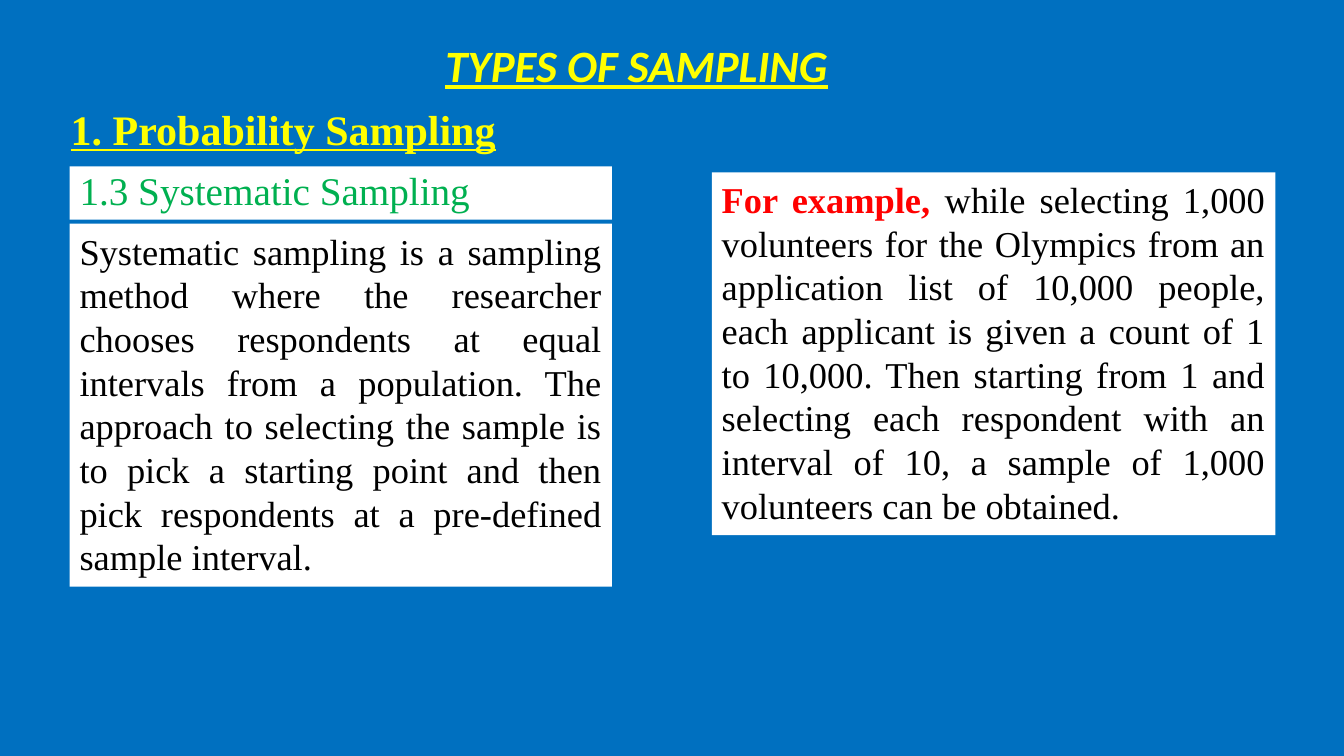
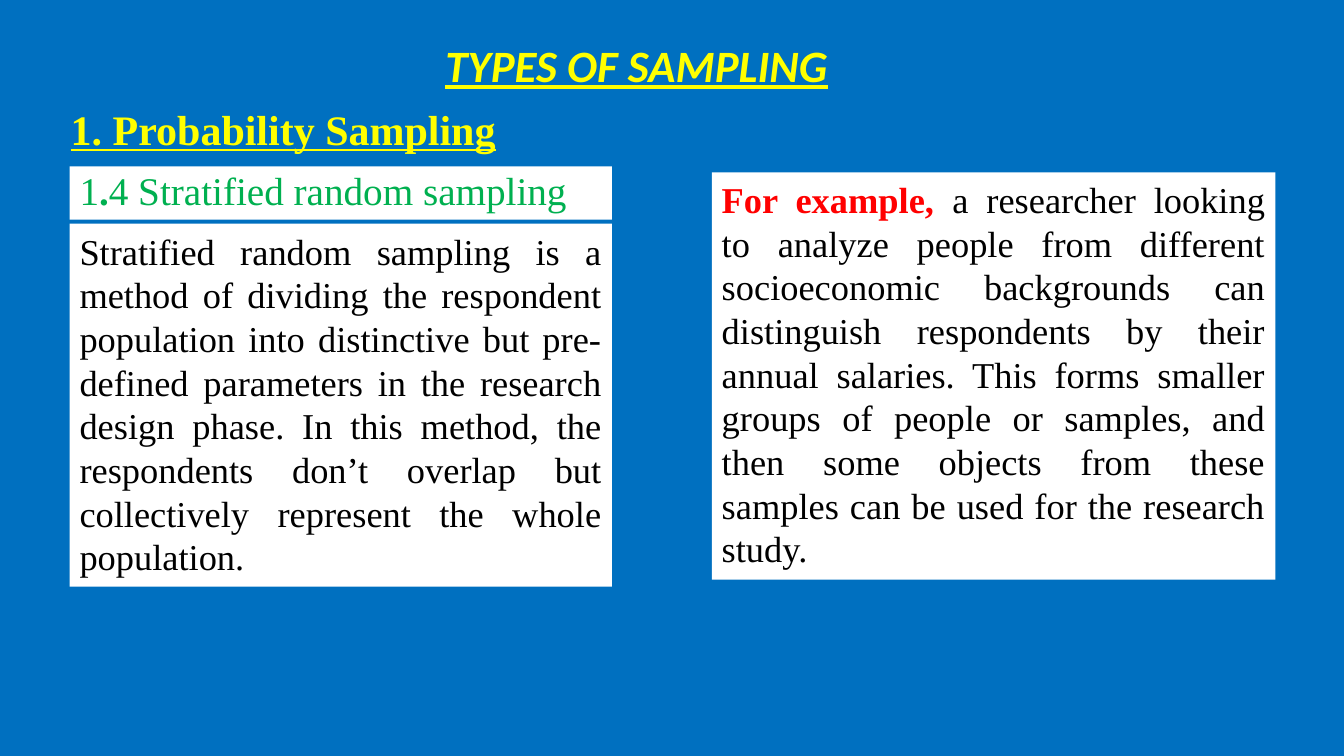
"""Build two slides on types of probability sampling."""
from pptx import Presentation
from pptx.dml.color import RGBColor
from pptx.enum.shapes import MSO_SHAPE
from pptx.enum.text import MSO_ANCHOR as ANCHOR, MSO_AUTO_SIZE as AUTO, PP_ALIGN as ALIGN
from pptx.util import Inches, Pt

BLUE, WHITE, YELLOW = "0070C0", "FFFFFF", "FFFF00"
GREEN, RED, BLACK = "00B050", "FF0000", "000000"
SERIF = "Times New Roman"

TITLE = "TYPES OF SAMPLING"
SECTION = "1. Probability Sampling"
EXAMPLE_LEAD = "For example, "
METHODS = [
    {
        "heading": [("1.3 Systematic Sampling", {})],
        "definition": "Systematic sampling is a sampling method where the researcher chooses "
                      "respondents at equal intervals from a population. The approach to selecting "
                      "the sample is to pick a starting point and then pick respondents at a "
                      "pre-defined sample interval.",
        "example": "while selecting 1,000 volunteers for the Olympics from an application list of "
                   "10,000 people, each applicant is given a count of 1 to 10,000. Then starting "
                   "from 1 and selecting each respondent with an interval of 10, a sample of 1,000 "
                   "volunteers can be obtained.",
        "example_height": 3.6,
    },
    {
        "heading": [("1", {}), (".", {"bold": True}), ("4 Stratified random sampling", {})],
        "definition": "Stratified random sampling is a method of dividing the respondent population "
                      "into distinctive but pre-defined parameters in the research design phase. In "
                      "this method, the respondents don’t overlap but collectively represent the "
                      "whole population.",
        "example": "a researcher looking to analyze people from different socioeconomic backgrounds "
                   "can distinguish respondents by their annual salaries. This forms smaller groups "
                   "of people or samples, and then some objects from these samples can be used for "
                   "the research study.",
        "example_height": 4.04,
    },
]

TITLE_FONT = {"name": "Calibri", "size": Pt(32), "bold": True, "italic": True,
              "underline": True, "color": YELLOW}
SECTION_FONT = {"name": SERIF, "size": Pt(30), "bold": True, "underline": True, "color": YELLOW}
HEADING_FONT = {"name": SERIF, "size": Pt(28), "color": GREEN}
BODY_FONT = {"name": SERIF, "size": Pt(26), "color": BLACK}
LEAD_FONT = {"bold": True, "color": RED}

LINE = {"alignment": ALIGN.CENTER, "line_spacing": 0.9}
HEADING_LINE = {"alignment": ALIGN.LEFT, "line_spacing": 0.9}
BODY_LINE = {"alignment": ALIGN.JUSTIFY}

LEFT_X, LEFT_WIDTH = 0.69, 5.38


def rgb(value):
    """Turn a hex string into a colour."""
    return RGBColor.from_string(value)


def apply(target, values):
    """Set each value on the target, colours included."""
    for key, value in values.items():
        if key == "color":
            target.color.rgb = rgb(value)
        else:
            setattr(target, key, value)


def add_text(slide, box, runs, font, line, panel=False):
    """Add one paragraph of runs, on a white panel if asked."""
    place = [Inches(length) for length in box]
    if panel:
        holder = slide.shapes.add_shape(MSO_SHAPE.RECTANGLE, *place)
        holder.shadow.inherit = False
        holder.fill.solid()
        holder.fill.fore_color.rgb = rgb(WHITE)
        holder.line.fill.background()
    else:
        holder = slide.shapes.add_textbox(*place)
    anchor = ANCHOR.TOP if line is BODY_LINE else ANCHOR.MIDDLE
    apply(holder.text_frame, {"word_wrap": True, "auto_size": AUTO.SHAPE_TO_FIT_TEXT,
                              "vertical_anchor": anchor})
    paragraph = holder.text_frame.paragraphs[0]
    apply(paragraph, line)
    for text, changes in runs:
        run = paragraph.add_run()
        run.text = text
        apply(run.font, {**font, **changes})


def add_method(deck, method):
    """Add the slide of one sampling method."""
    slide = deck.slides.add_slide(deck.slide_layouts[6])
    add_text(slide, (3.36, 0.38, 5.91, 0.59), [(TITLE, {})], TITLE_FONT, LINE)
    add_text(slide, (0.55, 1.03, 4.52, 0.56), [(SECTION, {})], SECTION_FONT, LINE)
    add_text(slide, (LEFT_X, 1.65, LEFT_WIDTH, 0.53), method["heading"],
             HEADING_FONT, HEADING_LINE, panel=True)
    add_text(slide, (LEFT_X, 2.22, LEFT_WIDTH, 3.6), [(method["definition"], {})],
             BODY_FONT, BODY_LINE, panel=True)
    add_text(slide, (7.06, 1.71, 5.59, method["example_height"]),
             [(EXAMPLE_LEAD, LEAD_FONT), (method["example"], {})],
             BODY_FONT, BODY_LINE, panel=True)


def main():
    """Build and save the deck."""
    deck = Presentation()
    deck.slide_width, deck.slide_height = Inches(13.33), Inches(7.5)
    backdrop = deck.slide_master.background.fill
    backdrop.solid()
    backdrop.fore_color.rgb = rgb(BLUE)
    for method in METHODS:
        add_method(deck, method)
    deck.save("out.pptx")


if __name__ == "__main__":
    main()
